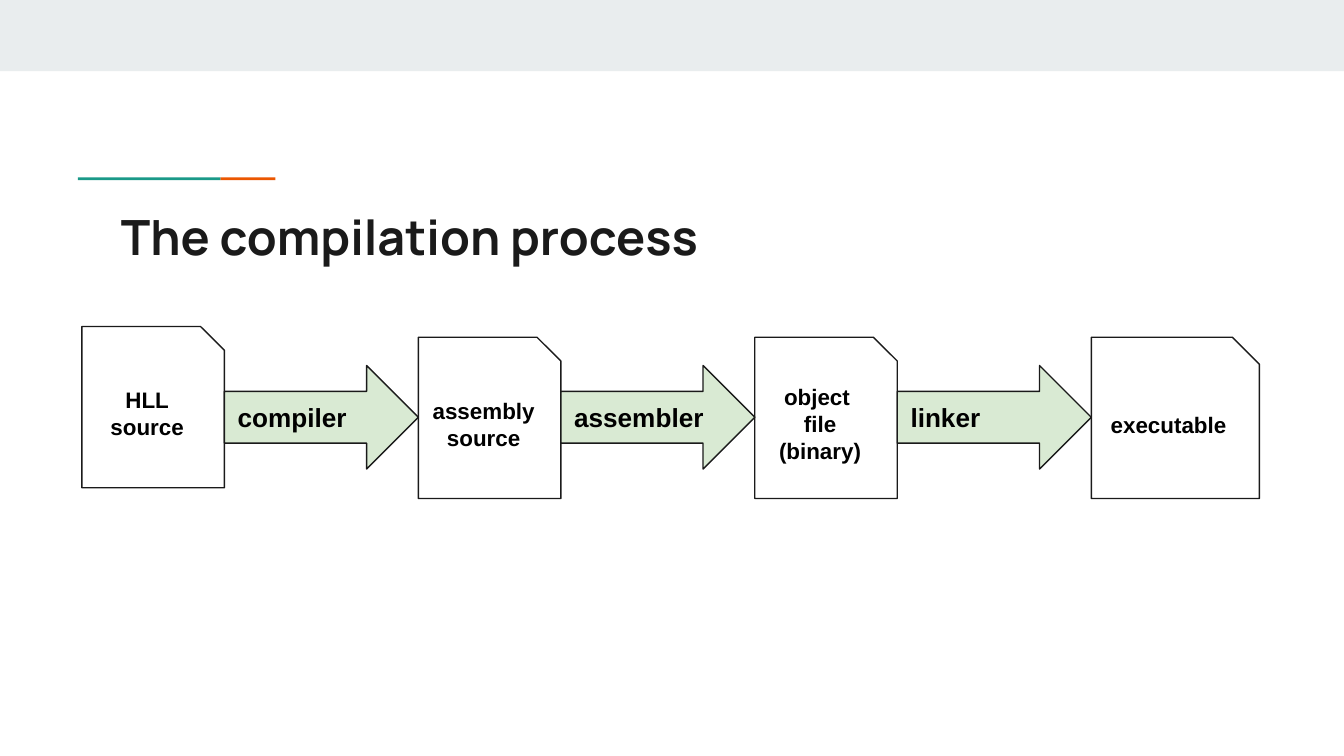
from pptx import Presentation
from pptx.dml.color import RGBColor
from pptx.enum import shapes, text
from pptx.util import Inches, Pt

INK = "1A1A1A"
FILE_LEFT = 0.61
FILE_WIDTH = 1.06
LAST_FILE_LEFT = 8.12
FILES = [
    ("HLL\nsource", 2.43, FILE_WIDTH),
    ("assembly\nsource", 2.51, FILE_WIDTH),
    ("object \nfile\n(binary)", 2.51, FILE_WIDTH),
    ("executable", 2.51, 1.25),
]
TOOLS = ["compiler", "assembler", "linker"]
STEP = (LAST_FILE_LEFT - FILE_LEFT) / len(TOOLS)


def color(value):
    return RGBColor.from_string(value)


def write(frame, content, font, size, ink, align, anchor):
    frame.text = content
    frame.word_wrap = True
    frame.auto_size = text.MSO_AUTO_SIZE.NONE
    frame.vertical_anchor = anchor
    frame.margin_left = frame.margin_right = Inches(0.1)
    frame.margin_top = frame.margin_bottom = Inches(0.1)
    for paragraph in frame.paragraphs:
        paragraph.alignment = align
        for run in paragraph.runs:
            run.font.name = font
            run.font.size = Pt(size)
            run.font.bold = True
            run.font.color.rgb = color(ink)


def add_block(slide, kind, left, top, width, height, fill, outline=None):
    block = slide.shapes.add_shape(
        kind, Inches(left), Inches(top), Inches(width), Inches(height))
    block.shadow.inherit = False
    block.fill.solid()
    block.fill.fore_color.rgb = color(fill)
    if outline:
        block.line.color.rgb = color(outline)
        block.line.width = Pt(0.75)
    else:
        block.line.fill.background()
    return block


def add_band(slide, left, top, width, height, fill):
    add_block(slide, shapes.MSO_SHAPE.RECTANGLE, left, top, width, height, fill)


def add_title(slide, content):
    title = slide.shapes.title
    title.left, title.top = Inches(0.8), Inches(1.44)
    title.width, title.height = Inches(8.41), Inches(0.59)
    write(title.text_frame, content, "Manrope", 26, INK,
          text.PP_ALIGN.LEFT, text.MSO_ANCHOR.TOP)


def add_file(slide, label, left, top, width):
    page = add_block(slide, shapes.MSO_SHAPE.SNIP_1_RECTANGLE,
                     left, top, width, 1.2, "FFFFFF", INK)
    page.adjustments[0] = 0.167
    write(page.text_frame, label, "Arial", 12, "000000",
          text.PP_ALIGN.CENTER, text.MSO_ANCHOR.MIDDLE)


def add_tool(slide, label, left):
    arrow = add_block(slide, shapes.MSO_SHAPE.RIGHT_ARROW,
                      left, 2.72, STEP - FILE_WIDTH, 0.77, "D9EAD3", INK)
    write(arrow.text_frame, label, "Arial", 14, "000000",
          text.PP_ALIGN.LEFT, text.MSO_ANCHOR.MIDDLE)


def main():
    deck = Presentation()
    deck.slide_width = Inches(10)
    deck.slide_height = deck.slide_width * 9 // 16
    slide = deck.slides.add_slide(deck.slide_layouts[5])

    add_band(slide, 0, 0, 10, 0.53, "E9EDEE")
    add_band(slide, 1.64, 1.32, 0.41, 0.02, "EB5600")
    add_band(slide, 0.58, 1.32, 1.06, 0.02, "1A9988")
    add_title(slide, "The compilation process")

    for index, (label, top, width) in enumerate(FILES):
        add_file(slide, label, FILE_LEFT + index * STEP, top, width)
    for index, label in enumerate(TOOLS):
        add_tool(slide, label, FILE_LEFT + FILE_WIDTH + index * STEP)

    deck.save("out.pptx")


if __name__ == "__main__":
    main()
